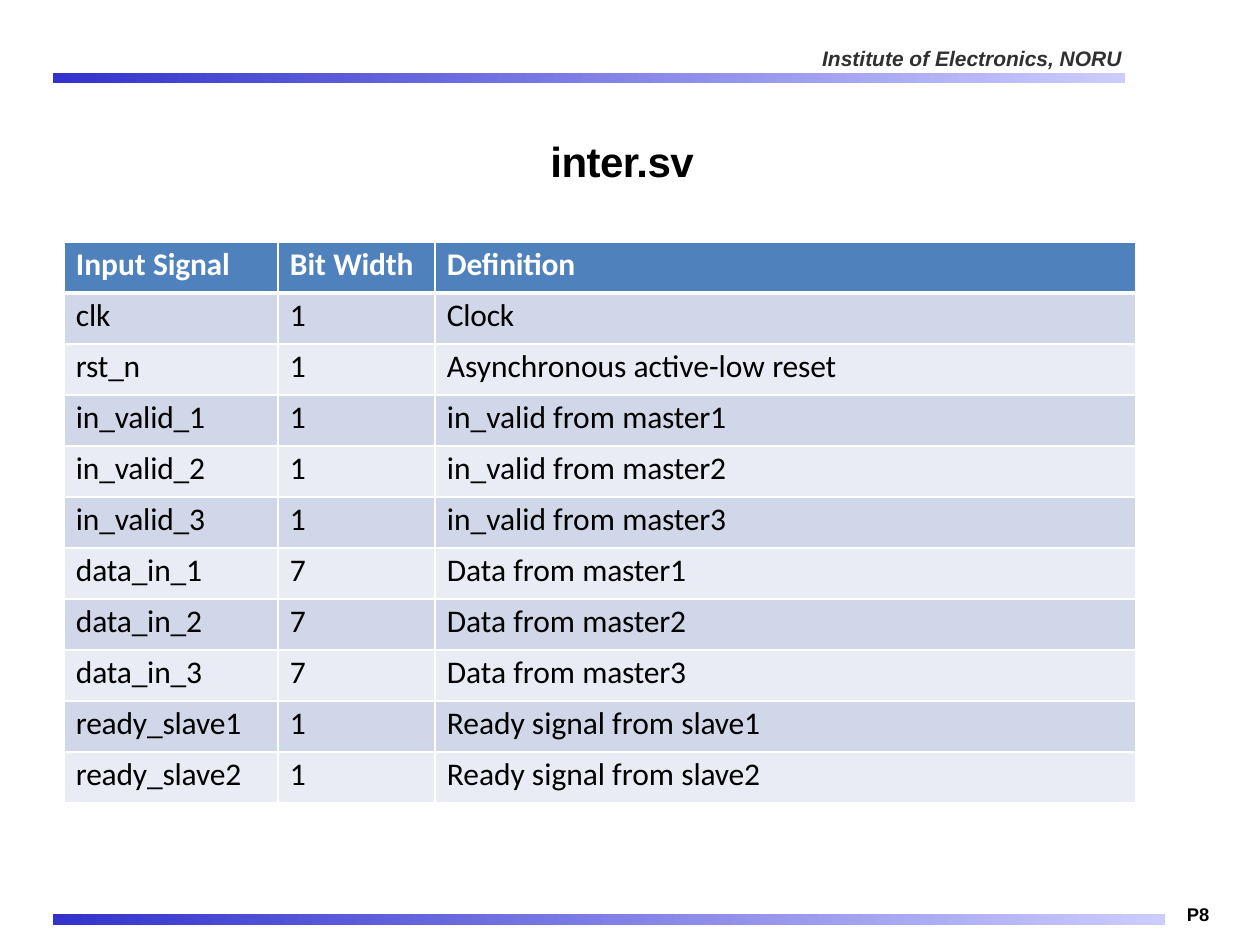
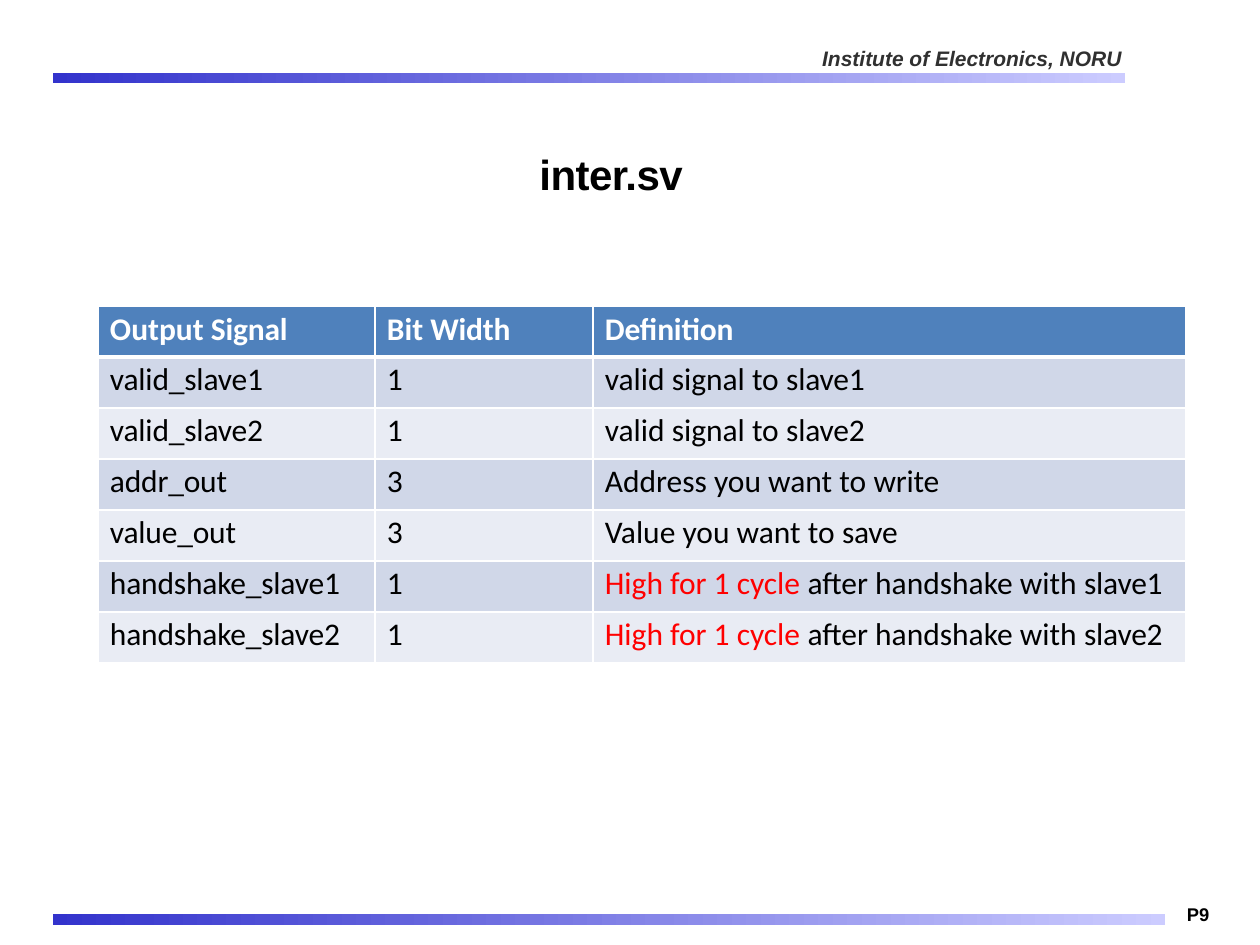
import dataclasses

import lxml.etree
import pptx
import pptx.dml.color
import pptx.enum.shapes
import pptx.enum.text
import pptx.oxml.ns
import pptx.util

EMU_PER_PX = 914400 / 126


@dataclasses.dataclass(frozen=True)
class Theme:
    ink = "000000"
    paper = "FFFFFF"
    institute = "303030"
    alert = "FF0000"
    header = "4F81BC"
    bands = ("D0D7E8", "E9ECF4")
    bar = ("3333CC", "CCCCFF")
    title_type = {"name": "Arial", "size": pptx.util.Pt(24), "bold": True}
    institute_type = {"name": "Arial", "size": pptx.util.Pt(12), "bold": True, "italic": True}
    page_type = {"name": "Arial", "size": pptx.util.Pt(10.5), "bold": True}
    header_type = {"name": "Calibri", "size": pptx.util.Pt(18), "bold": True}
    cell_type = {"name": "Calibri", "size": pptx.util.Pt(18), "bold": False}


theme = Theme()


def px(*lengths):
    return [pptx.util.Emu(round(length * EMU_PER_PX)) for length in lengths]


def write(paragraph, runs, style):
    for text, color, spacing in runs:
        run = paragraph.add_run()
        run.text = text
        for attribute, value in style.items():
            setattr(run.font, attribute, value)
        run.font.color.rgb = pptx.dml.color.RGBColor.from_string(color)
        if spacing:
            run.font._element.set("spc", str(spacing))


LEFT, CENTER, RIGHT = (
    pptx.enum.text.PP_ALIGN.LEFT,
    pptx.enum.text.PP_ALIGN.CENTER,
    pptx.enum.text.PP_ALIGN.RIGHT,
)
TOP, MIDDLE = pptx.enum.text.MSO_ANCHOR.TOP, pptx.enum.text.MSO_ANCHOR.MIDDLE
ROW_HEIGHT = 51
HIGHLIGHT = "High for 1 cycle "
BARS = [(53, 73, 1072, 10), (53, 914, 1112, 11)]

signal_pages = [
    {
        "page": "P8",
        "title_at": (498, 113),
        "table_at": (64, 242),
        "columns": (214, 157, 701),
        "rows": [
            ("Input Signal", "Bit Width", "Definition"),
            ("clk", "1", "Clock"),
            ("rst_n", "1", "Asynchronous active-low reset"),
            ("in_valid_1", "1", "in_valid from master1"),
            ("in_valid_2", "1", "in_valid from master2"),
            ("in_valid_3", "1", "in_valid from master3"),
            ("data_in_1", "7", "Data from master1"),
            ("data_in_2", "7", "Data from master2"),
            ("data_in_3", "7", "Data from master3"),
            ("ready_slave1", "1", "Ready signal from slave1"),
            ("ready_slave2", "1", "Ready signal from slave2"),
        ],
    },
    {
        "page": "P9",
        "title_at": (487, 126),
        "table_at": (98, 306),
        "columns": (277, 218, 593),
        "rows": [
            ("Output Signal", "Bit Width", "Definition"),
            ("valid_slave1", "1", "valid signal to slave1"),
            ("valid_slave2", "1", "valid signal to slave2"),
            ("addr_out", "3", "Address you want to write"),
            ("value_out", "3", "Value you want to save"),
            ("handshake_slave1", "1", "High for 1 cycle after handshake with slave1"),
            ("handshake_slave2", "1", "High for 1 cycle after handshake with slave2"),
        ],
    },
]

deck = pptx.Presentation()
deck.slide_width, deck.slide_height = px(1260, 945)

for content in signal_pages:
    slide = deck.slides.add_slide(deck.slide_layouts[6])

    for box in BARS:
        bar = slide.shapes.add_shape(pptx.enum.shapes.MSO_SHAPE.RECTANGLE, *px(*box))
        bar.shadow.inherit = False
        bar.line.fill.background()
        bar.fill.gradient()
        bar.fill.gradient_angle = 0
        for stop, color in zip(bar.fill.gradient_stops, theme.bar):
            stop.color.rgb = pptx.dml.color.RGBColor.from_string(color)

    labels = [
        (
            (722, 46, 400, 24),
            [("Institute of Electronics, NORU", theme.institute, 0)],
            theme.institute_type, RIGHT, TOP, True,
        ),
        ((1187, 903, 36, 21), [(content["page"], theme.ink, 0)], theme.page_type, LEFT, TOP, False),
        (
            (*content["title_at"], 248, 96),
            [("inter.sv", theme.ink, -30)],
            theme.title_type, CENTER, MIDDLE, True,
        ),
    ]
    for box, runs, style, alignment, anchor, wraps in labels:
        frame = slide.shapes.add_textbox(*px(*box)).text_frame
        frame_format = {
            "word_wrap": wraps,
            "vertical_anchor": anchor,
            "margin_left": 0,
            "margin_top": 0,
            "margin_right": 0,
            "margin_bottom": 0,
        }
        for attribute, value in frame_format.items():
            setattr(frame, attribute, value)
        frame.paragraphs[0].alignment = alignment
        write(frame.paragraphs[0], runs, style)

    rows, columns = content["rows"], content["columns"]
    signals = slide.shapes.add_table(
        len(rows), len(columns),
        *px(*content["table_at"], sum(columns), ROW_HEIGHT * len(rows)),
    ).table
    for column, width in zip(signals.columns, px(*columns)):
        column.width = width

    for row_index, row in enumerate(rows):
        signals.rows[row_index].height = px(ROW_HEIGHT)[0]
        is_header = row_index == 0
        fill = theme.header if is_header else theme.bands[(row_index - 1) % 2]
        ink = theme.paper if is_header else theme.ink
        borders = {"lnL": 1, "lnR": 1, "lnT": 3 if row_index == 1 else 1, "lnB": 3 if is_header else 1}

        for column_index, text in enumerate(row):
            cell = signals.cell(row_index, column_index)
            margins = dict(zip(("margin_left", "margin_top", "margin_right", "margin_bottom"), px(12, 4, 0, 0)))
            for attribute, value in margins.items():
                setattr(cell, attribute, value)

            properties = cell._tc.get_or_add_tcPr()
            for side, points in borders.items():
                border = lxml.etree.SubElement(
                    properties, pptx.oxml.ns.qn("a:" + side), w=str(pptx.util.Pt(points))
                )
                paint = lxml.etree.SubElement(border, pptx.oxml.ns.qn("a:solidFill"))
                lxml.etree.SubElement(paint, pptx.oxml.ns.qn("a:srgbClr"), val=theme.paper)
            cell.fill.solid()
            cell.fill.fore_color.rgb = pptx.dml.color.RGBColor.from_string(fill)

            highlighted = HIGHLIGHT if text.startswith(HIGHLIGHT) else ""
            opening, gap, last_word = text[len(highlighted):].rpartition(" ")
            runs = [(highlighted, theme.alert, 0), (opening + gap, ink, 0), (last_word, ink, -10)]
            paragraph = cell.text_frame.paragraphs[0]
            paragraph.space_before = pptx.util.Pt(2.4)
            write(
                paragraph,
                [run for run in runs if run[0]],
                theme.header_type if is_header else theme.cell_type,
            )

deck.save("out.pptx")
